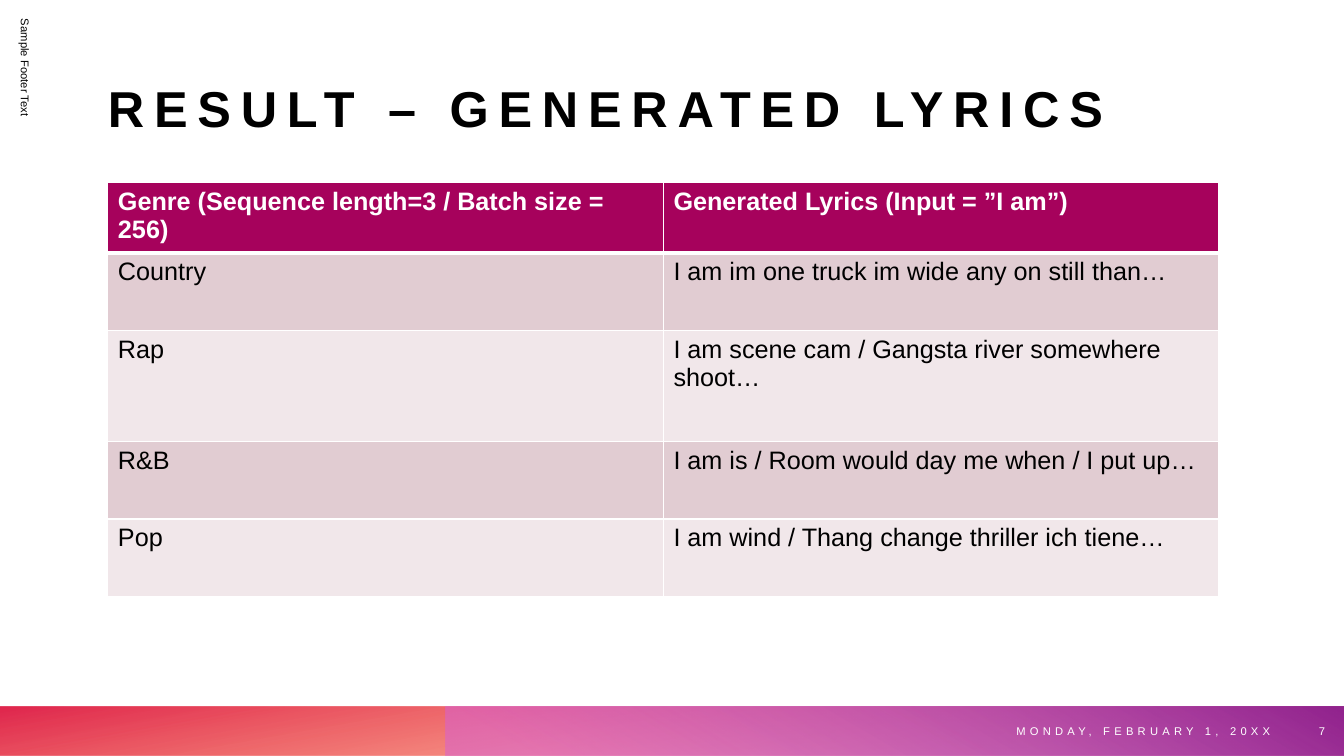
from lxml import etree
from pptx import Presentation
from pptx.dml.color import RGBColor
from pptx.enum.shapes import MSO_SHAPE as Preset
from pptx.enum.text import MSO_ANCHOR as Anchor, MSO_AUTO_SIZE as AutoSize, PP_ALIGN as Align
from pptx.oxml import parse_xml
from pptx.oxml.ns import nsdecls, qn
from pptx.util import Inches, Pt

COLORS = {
    "black": "000000", "white": "FFFFFF", "header": "A6025C",
    "odd_row": "E1CCD2", "even_row": "F1E7EA",
    "orange": "FE4A00", "red": "DA002F", "pink": "D861D4", "purple": "92248E",
}
TITLE = "RESULT – GENERATED LYRICS"
ROWS = [
    ("Genre (Sequence length=3 / Batch size = 256)", "Generated Lyrics (Input = ”I am”)"),
    ("Country", "I am im one truck im wide any on still than…"),
    ("Rap", "I am scene cam / Gangsta river somewhere shoot…"),
    ("R&B", "I am is / Room would day me when / I put up…"),
    ("Pop", "I am wind / Thang change thriller ich tiene…"),
]
ROW_HEIGHTS = [0.45, 0.77, 1.1, 0.77, 0.77]


def set_text(frame, text, size, color, bold=False, spacing=0, align=Align.LEFT):
    paragraph = frame.paragraphs[0]
    paragraph.alignment = align
    run = paragraph.add_run()
    run.text = text
    values = {"name": "Arial", "size": Pt(size), "bold": bold}
    for name, value in values.items():
        setattr(run.font, name, value)
    run.font.color.rgb = RGBColor.from_string(COLORS[color])
    if spacing:
        run.font._element.set("spc", str(spacing * 100))


def place(shape, box):
    for name, value in zip(("left", "top", "width", "height"), box):
        setattr(shape, name, Inches(value))


def add_title(slide, box):
    title = slide.shapes.title
    place(title, box)
    frame = title.text_frame
    values = {"auto_size": AutoSize.NONE, "word_wrap": True, "vertical_anchor": Anchor.MIDDLE,
              "margin_left": 0, "margin_top": 0, "margin_right": 0, "margin_bottom": 0}
    for name, value in values.items():
        setattr(frame, name, value)
    set_text(frame, TITLE, 36, "black", bold=True, spacing=7)


def add_label(slide, box, text, color, rotation=0, **text_format):
    label = slide.shapes.add_textbox(*map(Inches, box))
    label.rotation = rotation
    label.text_frame.word_wrap = True
    label.text_frame.vertical_anchor = Anchor.MIDDLE
    set_text(label.text_frame, text, 8, color, **text_format)


def add_band(slide, box, stops, angle, rotation=0):
    band = slide.shapes.add_shape(Preset.RECTANGLE, *map(Inches, box))
    band.shadow.inherit = False
    band.line.fill.background()
    band.rotation = rotation
    properties = band._element.spPr
    properties.find(qn("a:xfrm")).set("flipH", "1")
    stop_xml = "".join(
        f'<a:gs pos="{position * 1000}"><a:srgbClr val="{COLORS[color]}">'
        f'<a:alpha val="{opacity * 1000}"/></a:srgbClr></a:gs>'
        for position, color, opacity in stops)
    properties.find(qn("a:prstGeom")).addnext(parse_xml(
        f'<a:gradFill {nsdecls("a")} rotWithShape="1"><a:gsLst>{stop_xml}</a:gsLst>'
        f'<a:lin ang="{angle * 60000}" scaled="0"/></a:gradFill>'))


def add_footer(slide, box):
    left, top, width, height = box
    split = 4.42
    add_band(slide, box, [(14, "orange", 28), (100, "red", 85)], 100, rotation=180)
    add_band(slide, (left + split, top, width - split, height),
             [(9, "pink", 55), (99, "purple", 100)], 240)
    add_label(slide, (left + 8.65, top, 4.05, height), "MONDAY, FEBRUARY 1, 20XX",
              "white", spacing=3, align=Align.RIGHT)
    add_label(slide, (left + 12.76, top, 0.48, height), "7", "white", align=Align.RIGHT)


def set_borders(cell, bottom_width):
    properties = cell._tc.get_or_add_tcPr()
    for side, width in (("L", 1), ("R", 1), ("T", 1), ("B", bottom_width)):
        line = etree.SubElement(properties, qn(f"a:ln{side}"), w=str(Pt(width)))
        fill = etree.SubElement(line, qn("a:solidFill"))
        etree.SubElement(fill, qn("a:srgbClr"), val=COLORS["white"])


def add_lyrics_table(slide, box):
    table = slide.shapes.add_table(len(ROWS), len(ROWS[0]), *map(Inches, box)).table
    for row_index, texts in enumerate(ROWS):
        table.rows[row_index].height = Inches(ROW_HEIGHTS[row_index])
        is_header = row_index == 0
        fill = "header" if is_header else "odd_row" if row_index % 2 else "even_row"
        for column_index, text in enumerate(texts):
            cell = table.cell(row_index, column_index)
            set_borders(cell, 3 if is_header else 1)
            cell.fill.solid()
            cell.fill.fore_color.rgb = RGBColor.from_string(COLORS[fill])
            set_text(cell.text_frame, text, 18, "white" if is_header else "black", bold=is_header)


def build_slide(presentation):
    slide = presentation.slides.add_slide(presentation.slide_layouts[5])
    add_title(slide, (1.07, 0.39, 11.2, 1.35))
    add_label(slide, (-2, 2.09, 4.5, 0.5), "Sample Footer Text", "black", rotation=90)
    add_footer(slide, (0, 7.01, 13.33, 0.49))
    add_lyrics_table(slide, (1.07, 1.81, 11.02, sum(ROW_HEIGHTS)))


presentation = Presentation()
presentation.slide_width = Inches(13.33)
presentation.slide_height = Inches(7.5)
build_slide(presentation)
presentation.save("out.pptx")
